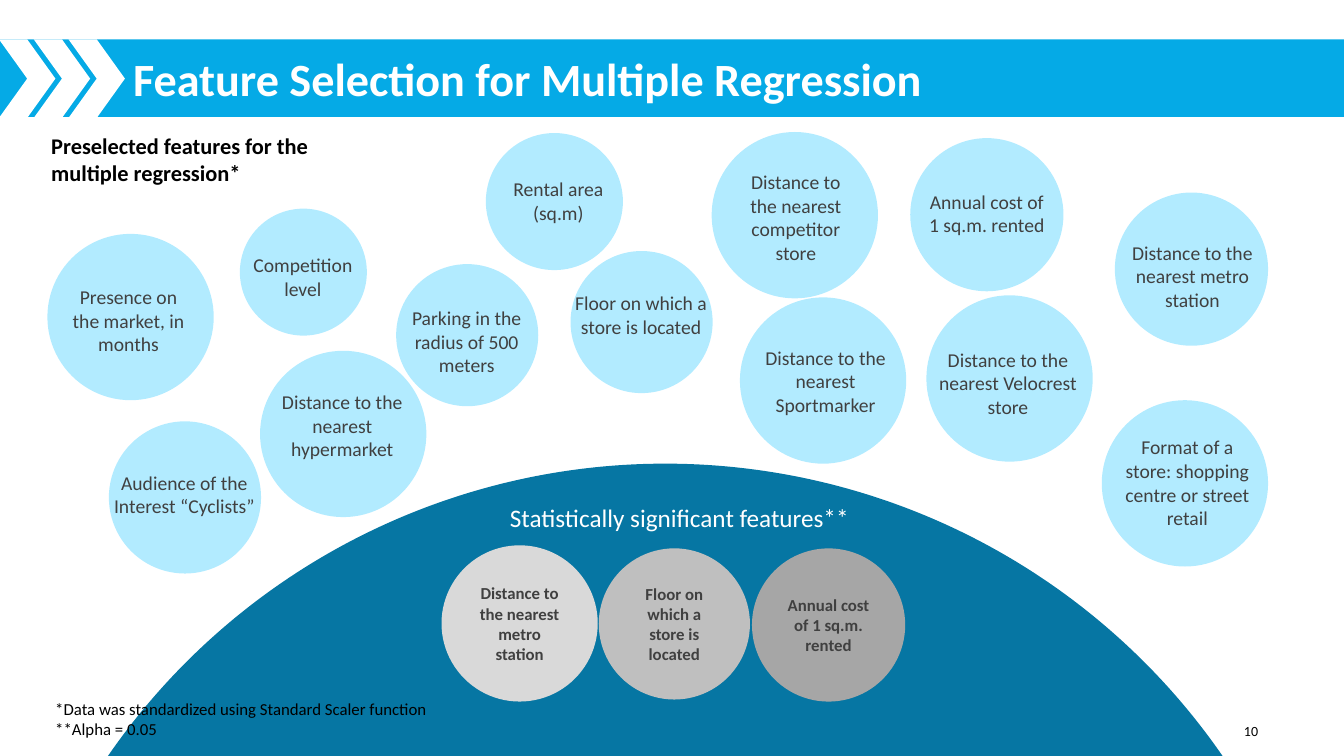
from dataclasses import dataclass

import lxml.etree
import pptx
import pptx.dml.color
import pptx.enum.shapes
import pptx.enum.text
import pptx.oxml.ns
import pptx.util

SHAPE = pptx.enum.shapes.MSO_SHAPE
ALIGN = pptx.enum.text.PP_ALIGN
ANCHOR = pptx.enum.text.MSO_ANCHOR
COLS, ROWS = 133.33, 75


@dataclass(frozen=True)
class Theme:
    font: str = "Calibri"
    white: str = "FFFFFF"
    black: str = "000000"
    ink: str = "404040"
    banner: str = "05AAE6"
    bubble: str = "00BFFF"
    bubble_opacity: int = 30
    dome: str = "0676A3"
    title: int = 33
    result: int = 18
    heading: int = 16
    label: int = 14
    note: int = 12
    page: int = 10


@dataclass(frozen=True)
class Box:
    col: float
    row: float
    cols: float
    rows: float


@dataclass(frozen=True)
class Feature:
    text: str
    col: float
    row: float
    size: float
    text_col: float
    text_row: float
    text_cols: float
    lines: int = 3


@dataclass(frozen=True)
class Finding:
    text: str
    col: float
    row: float
    size: float
    color: str


T = Theme()

FEATURES = [
    Feature("Annual cost of\n1 sq.m. rented", 90.3, 13.7, 15.2, 88.7, 18.3, 18.4, 2),
    Feature("Distance to the nearest Velocrest store", 91.9, 29.3, 16.5, 91.3, 34, 17.4),
    Feature("Floor on which a store is located", 56.6, 24.9, 14.1, 56, 28.4, 15.2),
    Feature("Distance to the nearest competitor store", 70.6, 13.1, 16.5, 72.9, 16.4, 12.1, 4),
    Feature("Format of a store: shopping centre or street retail",
            109.3, 39.7, 16.5, 109.8, 42.7, 16, 4),
    Feature("Rental area (sq.m)", 48.2, 13.2, 13.6, 48.6, 17.1, 13.6, 2),
    Feature("Distance to the nearest metro station", 110.6, 19.1, 15.2, 109.3, 23.4, 18),
    Feature("Competition level", 23.8, 20.7, 12.6, 23, 24.6, 14.1, 2),
    Feature("Presence on the market, in months", 4.7, 23.2, 16.5, 5.5, 27.8, 14.5),
    Feature("Parking in the radius of 500 meters", 39.3, 26.2, 14.1, 38.7, 29.9, 15.2),
    Feature("Audience of the Interest “Cyclists”", 10.8, 41.8, 15.1, 10, 46.2, 16.6),
    Feature("Distance to the nearest hypermarket", 25.8, 34.8, 16.5, 26.4, 38.2, 15.1),
    Feature("Distance to the nearest Sportmarker", 73.4, 29.5, 16.5, 73, 33.8, 17.8),
]

FINDINGS = [
    Finding("Floor on which a store is located", 59.4, 54.4, 15, "BFBFBF"),
    Finding("Annual cost of 1 sq.m. rented", 74.6, 54.4, 15.2, "A6A6A6"),
    Finding("Distance to the nearest metro station", 43.8, 54.1, 15.5, "D9D9D9"),
]


def grid(cells: float) -> int:
    return pptx.util.Inches(cells / 10)


def frame(box: Box) -> tuple[int, int, int, int]:
    return grid(box.col), grid(box.row), grid(box.cols), grid(box.rows)


def rgb(color: str) -> pptx.dml.color.RGBColor:
    return pptx.dml.color.RGBColor.from_string(color)


def write(sp, text: str, *, size: int, color: str = T.black, bold: bool = False,
          align=ALIGN.LEFT, anchor=ANCHOR.TOP) -> None:
    tf = sp.text_frame
    tf.word_wrap = True
    tf.auto_size = pptx.enum.text.MSO_AUTO_SIZE.NONE
    tf.vertical_anchor = anchor
    for i, line in enumerate(text.split("\n")):
        p = tf.add_paragraph() if i else tf.paragraphs[0]
        p.alignment = align
        r = p.add_run()
        r.text = line
        r.font.name = T.font
        r.font.size = pptx.util.Pt(size)
        r.font.bold = bold
        r.font.color.rgb = rgb(color)


def add_shape(slide, kind, box: Box, color: str, opacity: int = 100):
    sp = slide.shapes.add_shape(kind, *frame(box))
    sp.shadow.inherit = False
    sp.line.fill.background()
    sp.fill.solid()
    sp.fill.fore_color.rgb = rgb(color)
    if opacity < 100:
        clr = sp._element.spPr.find(".//" + pptx.oxml.ns.qn("a:srgbClr"))
        alpha = lxml.etree.SubElement(clr, pptx.oxml.ns.qn("a:alpha"))
        alpha.set("val", str(opacity * 1000))
    return sp


def add_text(slide, text: str, box: Box, **fmt) -> None:
    write(slide.shapes.add_textbox(*frame(box)), text, **fmt)


def add_banner(slide) -> None:
    add_shape(slide, SHAPE.RECTANGLE, Box(0, 3.9, COLS, 7.7), T.banner)
    sp = slide.shapes.title
    slide.shapes._spTree.append(sp._element)
    sp.left, sp.top, sp.width, sp.height = frame(Box(13.2, 5.1, COLS - 13.2, 6))
    write(sp, "Feature Selection for Multiple Regression", size=T.title,
          color=T.white, bold=True, anchor=ANCHOR.MIDDLE)
    tf = sp.text_frame
    tf.margin_left = tf.margin_top = tf.margin_right = tf.margin_bottom = 0
    tf.paragraphs[0].line_spacing = 0.9
    for i in range(3):
        add_shape(slide, SHAPE.CHEVRON, Box(-0.1 + 3.45 * i, 3.9, 5.6, 7.8), T.white)


def add_features(slide) -> None:
    for f in FEATURES:
        add_shape(slide, SHAPE.OVAL, Box(f.col, f.row, f.size, f.size),
                  T.bubble, T.bubble_opacity)
    for f in FEATURES:
        add_text(slide, f.text, Box(f.text_col, f.text_row, f.text_cols, 1 + 2.36 * f.lines),
                 size=T.label, color=T.ink, align=ALIGN.CENTER)


def add_findings(slide) -> None:
    add_shape(slide, SHAPE.OVAL, Box(-1.2, 46, 134.4, 134.4), T.dome)
    for f in FINDINGS:
        sp = add_shape(slide, SHAPE.OVAL, Box(f.col, f.row, f.size, f.size), f.color)
        write(sp, f.text, size=T.note, color=T.ink, bold=True,
              align=ALIGN.CENTER, anchor=ANCHOR.MIDDLE)
    add_text(slide, "Statistically significant features**", Box(49.6, 49.3, 38.5, 4),
             size=T.result, color=T.white)


def main() -> None:
    prs = pptx.Presentation()
    prs.slide_width, prs.slide_height = grid(COLS), grid(ROWS)
    slide = prs.slides.add_slide(prs.slide_layouts[5])
    add_banner(slide)
    add_features(slide)
    add_findings(slide)
    add_text(slide, "Preselected features for the multiple regression*",
             Box(4.1, 12.6, 35.2, 7.4), size=T.heading, bold=True)
    add_text(slide, "*Data was standardized using Standard Scaler function\n**Alpha = 0.05",
             Box(4.5, 68.8, 43, 5), size=T.note)
    add_text(slide, "10", Box(95.8, 71.2, 30, 3.8), size=T.page, align=ALIGN.RIGHT)
    prs.save("out.pptx")


if __name__ == "__main__":
    main()
